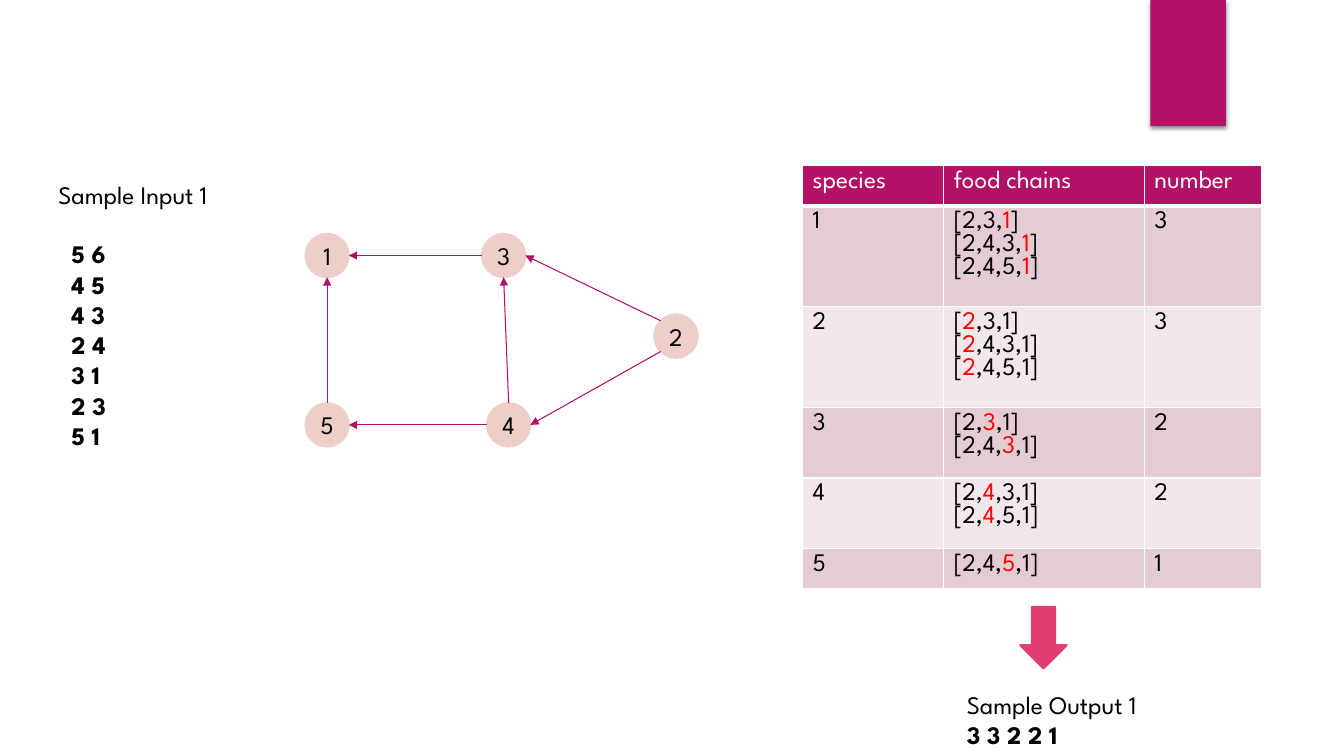
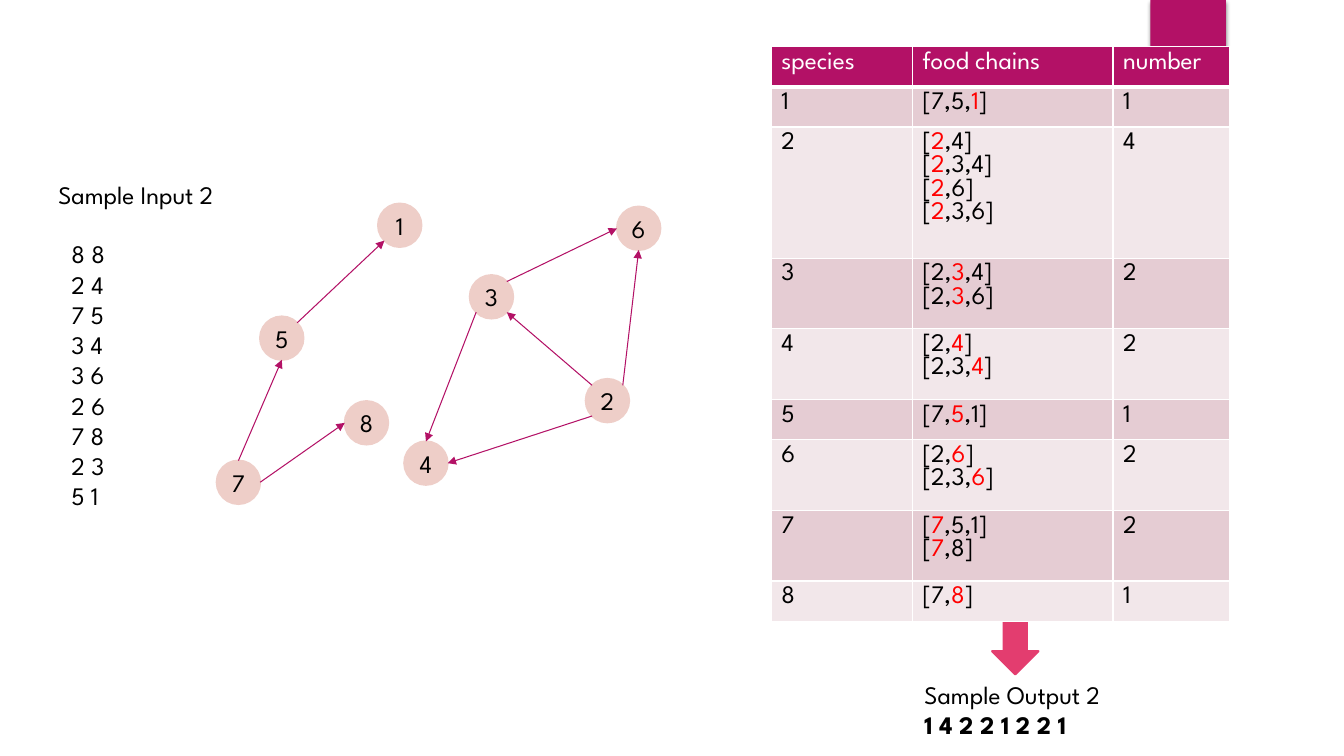
from math import cos, radians, sin

from lxml import etree
from pptx import Presentation
from pptx.dml.color import RGBColor
from pptx.enum.shapes import MSO_CONNECTOR, MSO_SHAPE
from pptx.enum.text import MSO_ANCHOR, PP_ALIGN
from pptx.oxml import parse_xml
from pptx.oxml.ns import nsdecls, qn
from pptx.util import Inches, Pt

RECT, OVAL, DOWN = MSO_SHAPE.RECTANGLE, MSO_SHAPE.OVAL, MSO_SHAPE.DOWN_ARROW
LINE, MIDDLE, CENTER = MSO_CONNECTOR.STRAIGHT, MSO_ANCHOR.MIDDLE, PP_ALIGN.CENTER

FONT = "League Spartan"
PLUM, ROSE, EDGE, BLUSH = "B31166", "E33D6F", "E43D6F", "EECEC8"
BLACK, WHITE, RED = "000000", "FFFFFF", "FF0000"
BANDS = ["E5CCD3", "F2E7EA"]
HEADS = ["species", "food chains", "number"]
COLS = [1.4, 1.99, 1.16]
NODE = 0.43
ANGLE = {"E": 0, "NE": 45, "N": 90, "NW": 135, "W": 180, "SW": 225, "S": 270, "SE": 315}
SHADOW = (f'<a:effectLst {nsdecls("a")}><a:outerShdw blurRad="38100" dist="25400" '
          'dir="5400000" rotWithShape="0"><a:srgbClr val="000000"><a:alpha val="45000"/>'
          '</a:srgbClr></a:outerShdw></a:effectLst>')

# nodes: left and top; edges: from node, side, to node, side
SAMPLES = [
    {
        "no": 1, "bold": True,
        "input": ["5 6", "4 5", "4 3", "2 4", "3 1", "2 3", "5 1"],
        "nodes": {1: (3.03, 2.32), 2: (6.49, 3.12), 3: (4.78, 2.32),
                  4: (4.83, 4), 5: (3.03, 4)},
        "edges": [(4, "W", 5, "E"), (4, "N", 3, "S"), (2, "SW", 4, "E"),
                  (3, "W", 1, "E"), (2, "NW", 3, "E"), (5, "N", 1, "S")],
        "chains": [["[2,3,1]", "[2,4,3,1]", "[2,4,5,1]"],
                   ["[2,3,1]", "[2,4,3,1]", "[2,4,5,1]"],
                   ["[2,3,1]", "[2,4,3,1]"],
                   ["[2,4,3,1]", "[2,4,5,1]"],
                   ["[2,4,5,1]"]],
        "table": (7.96, 1.64), "arrow": (10.12, 6.02), "output": (9.49, 6.79),
    },
    {
        "no": 2, "bold": False,
        "input": ["8 8", "2 4", "7 5", "3 4", "3 6", "2 6", "7 8", "2 3", "5 1"],
        "nodes": {1: (3.75, 2.02), 2: (5.81, 3.76), 3: (4.66, 2.73), 4: (4.01, 4.38),
                  5: (2.58, 3.14), 6: (6.12, 2.05), 7: (2.15, 4.57), 8: (3.42, 3.98)},
        "edges": [(3, "SW", 4, "N"), (2, "NE", 6, "S"), (2, "NW", 3, "SE"),
                  (5, "NE", 1, "SW"), (7, "N", 5, "S"), (3, "NE", 6, "W"),
                  (7, "E", 8, "W"), (2, "SW", 4, "E")],
        "chains": [["[7,5,1]"],
                   ["[2,4]", "[2,3,4]", "[2,6]", "[2,3,6]"],
                   ["[2,3,4]", "[2,3,6]"],
                   ["[2,4]", "[2,3,4]"],
                   ["[7,5,1]"],
                   ["[2,6]", "[2,3,6]"],
                   ["[7,5,1]", "[7,8]"],
                   ["[7,8]"]],
        "table": (7.65, 0.46), "arrow": (9.84, 6.08), "output": (9.07, 6.69),
    },
]


def paint(fmt, color):
    """Make a fill solid, in a hex colour."""
    fmt.solid()
    fmt.fore_color.rgb = RGBColor.from_string(color)


def write(frame, lines, pitch=None):
    """Fill a frame; each line is a list of (text, colour, bold) runs."""
    frame.word_wrap = True
    for i, line in enumerate(lines):
        para = frame.add_paragraph() if i else frame.paragraphs[0]
        if pitch:
            para.line_spacing = Pt(pitch)
        for text, color, bold in line:
            run = para.add_run()
            run.text = text
            run.font.name, run.font.size, run.font.bold = FONT, Pt(18), bold
            paint(run.font.fill, color)


deck = Presentation()
deck.slide_width, deck.slide_height = Inches(13.33), Inches(7.5)

for data in SAMPLES:
    shapes = deck.slides.add_slide(deck.slide_layouts[6]).shapes
    no, chains = data["no"], data["chains"]

    band = shapes.add_shape(RECT, Inches(11.41), 0, Inches(0.75), Inches(1.25))
    paint(band.fill, PLUM)
    band.line.fill.background()
    band._element.spPr.append(parse_xml(SHADOW))

    # Input and output text
    left, top = data["output"]
    counts = " ".join(str(len(row)) for row in chains)
    texts = [
        (0.48, 1.73, 2.03, 0.4, [[(f"Sample Input {no}", BLACK, False)]]),
        (0.61, 2.32, 0.62, 0.1 + 0.3 * len(data["input"]),
         [[(pair, BLACK, data["bold"])] for pair in data["input"]]),
        (left, top, 2.28, 0.71,
         [[(f"Sample Output {no}", BLACK, False)], [(counts, BLACK, True)]]),
    ]
    for *box, lines in texts:
        write(shapes.add_textbox(*map(Inches, box)).text_frame, lines, 21.6)

    arrow = shapes.add_shape(DOWN, *map(Inches, (*data["arrow"], 0.46, 0.61)))
    arrow.shadow.inherit = False
    paint(arrow.fill, ROSE)
    paint(arrow.line.fill, EDGE)
    arrow.line.width = Pt(1.5)

    # Graph
    for name, (left, top) in data["nodes"].items():
        node = shapes.add_shape(OVAL, *map(Inches, (left, top, NODE, NODE)))
        node.shadow.inherit = False
        paint(node.fill, BLUSH)
        paint(node.line.fill, BLUSH)
        node.line.width = Pt(1.5)
        frame = node.text_frame
        frame.margin_left = frame.margin_right = frame.margin_top = frame.margin_bottom = 0
        frame.vertical_anchor = MIDDLE
        write(frame, [[(str(name), BLACK, False)]], 21.6)
        frame.paragraphs[0].alignment = CENTER

    for start, exit, end, entry in data["edges"]:
        ends = []
        for name, side in ((start, exit), (end, entry)):
            left, top = data["nodes"][name]
            turn = radians(ANGLE[side])
            ends += [Inches(left + NODE / 2 * (1 + cos(turn))),
                     Inches(top + NODE / 2 * (1 - sin(turn)))]
        edge = shapes.add_connector(LINE, *ends)
        paint(edge.line.fill, PLUM)
        edge.line.width = Pt(0.75)
        etree.SubElement(edge.line._get_or_add_ln(), qn("a:tailEnd"), type="triangle")
        etree.SubElement(edge._element.spPr, qn("a:effectLst"))

    # Table of food chains, with each species in red in its own chains
    rows = [[[[(head, WHITE, False)]] for head in HEADS]]
    for name, row in enumerate(chains, 1):
        key = str(name)
        lines = []
        for chain in row:
            before, _, after = chain.partition(key)
            lines.append([(before, BLACK, False), (key, RED, False), (after, BLACK, False)])
        rows.append([[[(key, BLACK, False)]], lines, [[(str(len(row)), BLACK, False)]]])

    highs = [0.1 + 0.3 * len(row[1]) for row in rows]
    table = shapes.add_table(len(rows), len(COLS), *map(
        Inches, (*data["table"], sum(COLS), sum(highs)))).table
    for col, wide in zip(table.columns, COLS):
        col.width = Inches(wide)
    for r, row in enumerate(rows):
        table.rows[r].height = Inches(highs[r])
        for c, lines in enumerate(row):
            cell = table.cell(r, c)
            write(cell.text_frame, lines)
            paint(cell.fill, BANDS[(r - 1) % 2] if r else PLUM)
            props = cell._tc.get_or_add_tcPr()
            for i, side in enumerate("LRTB"):
                thick = (r, side) in ((0, "B"), (1, "T"))
                props.insert(i, parse_xml(
                    f'<a:ln{side} {nsdecls("a")} w="{Pt(3 if thick else 1)}"><a:solidFill>'
                    f'<a:srgbClr val="{WHITE}"/></a:solidFill></a:ln{side}>'))

deck.save("out.pptx")
